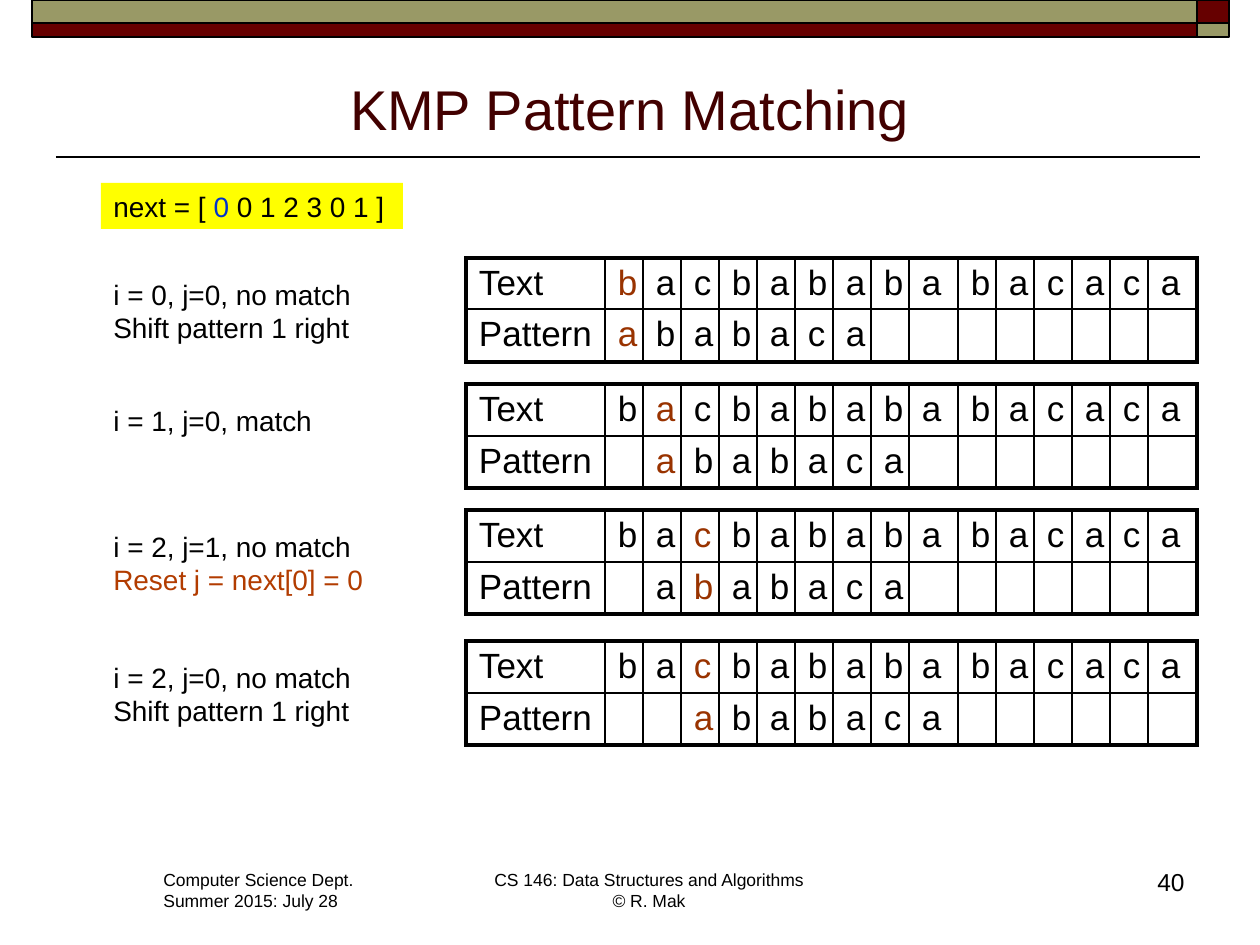
from dataclasses import dataclass

from lxml import etree
from pptx import Presentation
from pptx.dml.color import RGBColor
from pptx.enum.shapes import MSO_CONNECTOR, MSO_SHAPE
from pptx.enum.text import MSO_ANCHOR, PP_ALIGN
from pptx.oxml.ns import qn
from pptx.util import Emu, Pt

RECT, STRAIGHT = MSO_SHAPE.RECTANGLE, MSO_CONNECTOR.STRAIGHT
LEFT, CENTER, RIGHT = PP_ALIGN.LEFT, PP_ALIGN.CENTER, PP_ALIGN.RIGHT
TOP, BOTTOM = MSO_ANCHOR.TOP, MSO_ANCHOR.BOTTOM


@dataclass(frozen=True)
class Theme:
    font: str = "Arial"
    ink: str = "000000"
    title: str = "420000"
    maroon: str = "660000"
    olive: str = "999966"
    hit: str = "993300"
    reset: str = "B23C00"
    blue: str = "0033CC"
    yellow: str = "FFFF00"
    title_size: int = 32
    cell_size: int = 20
    note_size: int = 16
    number_size: int = 14
    footer_size: int = 10
    thin: float = 1
    thick: float = 2.25


T = Theme()
TEXT, PATTERN = "bacbabababacaca", "ababaca"
LABEL_W, LETTER_W, WIDE_W, ROW_H = 139, 38, 49, 51
WIDE_COLS = (9, 15)

# Each step: table top, compared text index, pattern shift, note lines
STEPS = [
    (258, 0, 0, [("i = 0, j=0, no match", T.ink), ("Shift pattern 1 right", T.ink)]),
    (384, 1, 1, [("i = 1, j=0, match", T.ink)]),
    (510, 2, 1, [("i = 2, j=1, no match", T.ink), ("Reset j = next[0] = 0", T.reset)]),
    (641, 2, 2, [("i = 2, j=0, no match", T.ink), ("Shift pattern 1 right", T.ink)]),
]


def px(n):
    return Emu(round(n * 914400 / 126))


def rgb(value):
    return RGBColor.from_string(value)


def add_run(p, text, size, color=T.ink):
    r = p.add_run()
    r.text = text
    r.font.name, r.font.size = T.font, Pt(size)
    r.font.color.rgb = rgb(color)


def add_text(s, box, lines, size, align=LEFT):
    """Text box holding one paragraph of (text, colour) lines."""
    tf = s.shapes.add_textbox(*map(px, box)).text_frame
    tf.word_wrap = True
    p = tf.paragraphs[0]
    p.alignment = align
    for i, (text, color) in enumerate(lines):
        if i:
            p.add_line_break()
        add_run(p, text, size, color)


def add_rect(s, box, fill, line=None):
    sp = s.shapes.add_shape(RECT, *map(px, box))
    sp.shadow.inherit = False
    sp.fill.solid()
    sp.fill.fore_color.rgb = rgb(fill)
    if line:
        sp.line.color.rgb = rgb(line)
        sp.line.width = Pt(T.thin)
    else:
        sp.line.fill.background()
    return sp


def add_header(s, x, y, w, h):
    """Two-by-two band with alternating colours."""
    side, low = 32, 14
    columns = [(x, w - side), (x + w - side, side)]
    rows = [(y, h - low), (y + h - low, low)]
    for i, (left, width) in enumerate(columns):
        for j, (top, height) in enumerate(rows):
            color = T.olive if i == j else T.maroon
            add_rect(s, (left, top, width, height), color, T.ink)


def add_title(s, x, y, w, h):
    title = s.shapes.title
    title.left, title.top, title.width, title.height = map(px, (x, y, w, h))
    tf = title.text_frame
    tf.vertical_anchor = BOTTOM
    p = tf.paragraphs[0]
    p.alignment = CENTER
    add_run(p, "KMP Pattern Matching", T.title_size, T.title)
    # Rule under the title
    rule_y = y + h + 9
    rule = s.shapes.add_connector(STRAIGHT, px(x - 7), px(rule_y), px(x + w + 3), px(rule_y))
    rule.line.color.rgb = rgb(T.ink)
    rule.line.width = Pt(T.thin)
    etree.SubElement(rule._element.spPr, qn("a:effectLst"))


def add_next_array(s, x, y, w, h):
    p = add_rect(s, (x, y, w, h), T.yellow).text_frame.paragraphs[0]
    p.alignment = LEFT
    for text, color in [("next = [ ", T.ink), ("0", T.blue), (" 0 1 2 3 0 1 ]", T.ink)]:
        add_run(p, text, T.note_size, color)


def set_borders(cell, thick_sides):
    tc_pr = cell._tc.get_or_add_tcPr()
    for side in "LRTB":
        width = T.thick if side in thick_sides else T.thin
        ln = etree.SubElement(tc_pr, qn(f"a:ln{side}"), w=str(int(Pt(width))))
        fill = etree.SubElement(ln, qn("a:solidFill"))
        etree.SubElement(fill, qn("a:srgbClr"), val=T.ink)


def add_match_table(s, x, y, hit, shift):
    """Text above the shifted pattern, with the compared letters coloured."""
    rows = [["Text", *TEXT],
            ["Pattern", *(" " * shift + PATTERN).ljust(len(TEXT))]]
    last = len(TEXT)
    widths = [LABEL_W] + [WIDE_W if c in WIDE_COLS else LETTER_W for c in range(1, last + 1)]
    table = s.shapes.add_table(2, last + 1, px(x), px(y), px(sum(widths)), px(2 * ROW_H)).table
    table.first_row = table.horz_banding = False
    for column, width in zip(table.columns, widths):
        column.width = px(width)
    for i, row in enumerate(rows):
        table.rows[i].height = px(ROW_H)
        for c, text in enumerate(row):
            cell = table.cell(i, c)
            cell.margin_left, cell.margin_right = px(13), 0
            cell.margin_top, cell.margin_bottom = px(6), px(4)
            cell.vertical_anchor = TOP
            outer = "TB"[i] + ("L" if c == 0 else "R" if c == last else "")
            set_borders(cell, outer)
            cell.fill.background()
            p = cell.text_frame.paragraphs[0]
            p.font.size = Pt(T.cell_size)
            if text.strip():
                add_run(p, text, T.cell_size, T.hit if c == hit + 1 else T.ink)


def add_step(s, x, y, hit, shift, note):
    add_match_table(s, x + 365, y, hit, shift)
    add_text(s, (x, y + 13, 300, 88), note, T.note_size)


def add_footer(s, x, y):
    date = ["Computer Science Dept.", "Summer 2015: July 28"]
    course = ["CS 146: Data Structures and Algorithms", "© R. Mak"]
    for left, width, lines, align in [(x, 218, date, LEFT), (x + 328, 340, course, CENTER)]:
        add_text(s, (left, y, width, 55), [(line, T.ink) for line in lines], T.footer_size, align)
    add_text(s, (x + 784, y - 2, 262, 63), [("40", T.ink)], T.number_size, RIGHT)


def main():
    prs = Presentation()
    prs.slide_width, prs.slide_height = px(1260), px(945)
    s = prs.slides.add_slide(prs.slide_layouts[5])
    add_header(s, 32, 0, 1197, 37)
    add_title(s, 63, 57, 1134, 91)
    add_next_array(s, 101, 183, 302, 46)
    for y, hit, shift, note in STEPS:
        add_step(s, 101, y, hit, shift, note)
    add_footer(s, 151, 863)
    prs.save("out.pptx")


if __name__ == "__main__":
    main()
